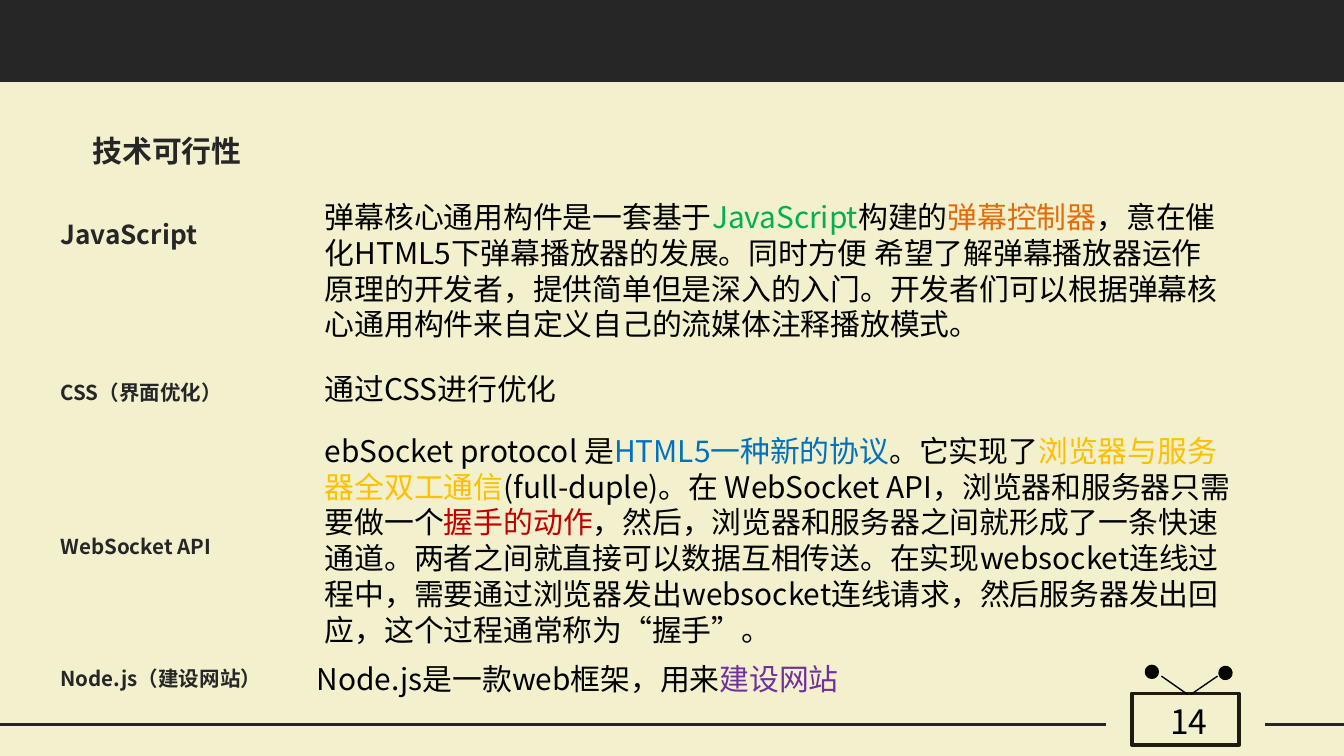
from lxml.etree import SubElement
from pptx import Presentation
from pptx.dml.color import RGBColor
from pptx.enum.lang import MSO_LANGUAGE_ID
from pptx.enum.shapes import MSO_CONNECTOR, MSO_SHAPE
from pptx.enum.text import PP_ALIGN
from pptx.oxml.ns import qn
from pptx.util import Cm, Pt

FONT = "Noto Sans CJK JP"
COLORS = {
    "cream": "F3F0CD", "charcoal": "262626", "frame": "1E1C11", "black": "000000",
    "green": "00B050", "orange": "E46C0A", "blue": "0070C0",
    "yellow": "FFC000", "red": "C00000", "purple": "7030A0",
}
RGB = {name: RGBColor.from_string(value) for name, value in COLORS.items()}

prs = Presentation()
prs.slide_width, prs.slide_height = Cm(25.4), Cm(14.29)
slide = prs.slides.add_slide(prs.slide_layouts[6])
slide.background.fill.solid()
slide.background.fill.fore_color.rgb = RGB["cream"]


def add_text(parts, left, top, width, height, size=16, color="black",
             bold=False, wrap=True, align=PP_ALIGN.LEFT):
    box = slide.shapes.add_textbox(Cm(left), Cm(top), Cm(width), Cm(height))
    box.text_frame.word_wrap = wrap
    paragraph = box.text_frame.paragraphs[0]
    paragraph.alignment = align
    paragraph.line_spacing = Pt(round(size * 1.2, 1))
    if isinstance(parts, str):
        parts = [(parts, color)]
    for words, part_color in parts:
        run = paragraph.add_run()
        run.text = words
        run.font.size = Pt(size)
        run.font.bold = bold
        run.font.color.rgb = RGB[part_color]
        run.font.language_id = MSO_LANGUAGE_ID.SIMPLIFIED_CHINESE
        run.font.name = FONT
        SubElement(run.font._element, qn("a:ea"), typeface=FONT)


header = slide.shapes.add_shape(MSO_SHAPE.RECTANGLE, 0, 0, prs.slide_width, Cm(1.55))
header.shadow.inherit = False
header.fill.solid()
header.fill.fore_color.rgb = RGB["charcoal"]
header.line.fill.background()

screen = slide.shapes.add_shape(MSO_SHAPE.RECTANGLE, Cm(21.39), Cm(13.11), Cm(2.03), Cm(0.97))
screen.shadow.inherit = False
screen.fill.background()
screen.line.color.rgb = RGB["frame"]
screen.line.width = Pt(2)

for x1, y1, x2, y2, color, weight in [
    (0, 13.69, 20.9, 13.69, "charcoal", 1.75),
    (23.9, 13.69, 25.4, 13.69, "charcoal", 1.75),
    (21.95, 12.78, 22.45, 13.13, "black", 0.75),
    (23.01, 12.78, 22.5, 13.13, "black", 0.75),
]:
    stroke = slide.shapes.add_connector(MSO_CONNECTOR.STRAIGHT, Cm(x1), Cm(y1), Cm(x2), Cm(y2))
    stroke.line.color.rgb = RGB[color]
    stroke.line.width = Pt(weight)
    SubElement(stroke._element.spPr, qn("a:effectLst"))

for left, top, angle in [(21.67, 12.6, 0), (23.06, 12.62, 112)]:
    antenna_tip = slide.shapes.add_shape(MSO_SHAPE.OVAL, Cm(left), Cm(top), Cm(0.2), Cm(0.2))
    antenna_tip.rotation = angle
    antenna_tip.shadow.inherit = False
    antenna_tip.fill.solid()
    antenna_tip.fill.fore_color.rgb = RGB["black"]
    antenna_tip.line.color.rgb = RGB["black"]
    antenna_tip.line.width = Pt(2)

add_text("14", 21.44, 13.13, 2.06, 1.09, size=18, align=PP_ALIGN.CENTER)
add_text("技术可行性", 1.5, 2.39, 3.33, 0.99, color="charcoal", bold=True, wrap=False)

for label, top, width, height, size in [
    ("JavaScript", 4.01, 3.89, 0.89, 14),
    ("CSS（界面优化）", 7.06, 3.56, 0.76, 11),
    ("WebSocket API", 9.96, 3.51, 0.76, 11),
    ("Node.js（建设网站）", 12.47, 4.32, 0.76, 11),
]:
    add_text(label, 0.89, top, width, height, size=size, color="charcoal", bold=True)

javascript_parts = [
    ("弹幕核心通用构件是一套基于", "black"),
    ("JavaScript", "green"),
    ("构建的", "black"),
    ("弹幕控制器", "orange"),
    ("，意在催化HTML5下弹幕播放器的发展。同时方便 希望了解弹幕播放器运作原理的开发者，"
     "提供简单但是深入的入门。开发者们可以根据弹幕核心通用构件来自定义自己的流媒体注释播放模式。", "black"),
]
websocket_parts = [
    ("ebSocket protocol 是", "black"),
    ("HTML5一种新的协议", "blue"),
    ("。它实现了", "black"),
    ("浏览器与服务器全双工通信", "yellow"),
    ("(full-duple)。在 WebSocket API，浏览器和服务器只需要做一个", "black"),
    ("握手的动作", "red"),
    ("，然后，浏览器和服务器之间就形成了一条快速通道。两者之间就直接可以数据互相传送。"
     "在实现websocket连线过程中，需要通过浏览器发出websocket连线请求，"
     "然后服务器发出回应，这个过程通常称为“握手”。", "black"),
]
node_parts = [("Node.js是一款web框架，用来", "black"), ("建设网站", "purple")]

add_text(javascript_parts, 5.89, 3.63, 17.4, 3.02)
add_text("通过CSS进行优化", 5.89, 6.88, 10.59, 0.94)
add_text(websocket_parts, 5.89, 8.05, 17.86, 4.37)
add_text(node_parts, 5.74, 12.37, 13.06, 0.94)

prs.save("out.pptx")
